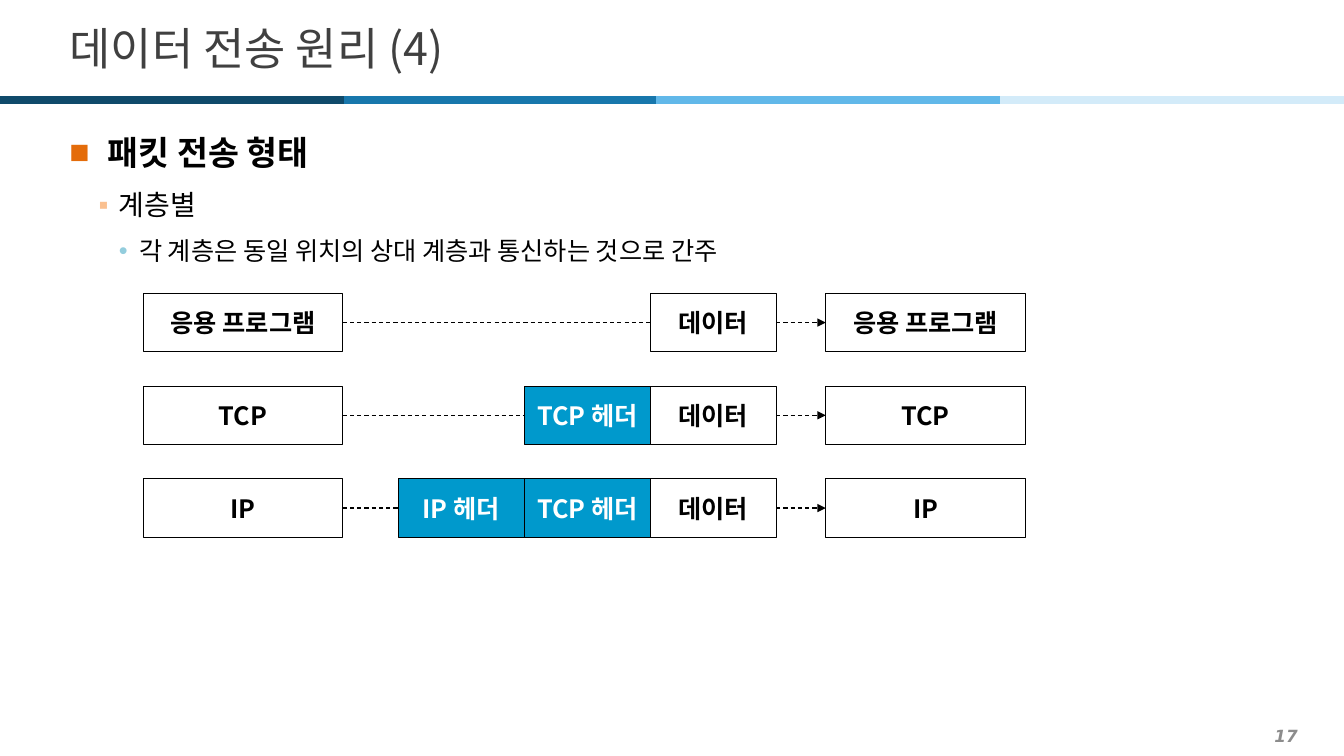
from lxml.etree import SubElement
from pptx import Presentation
from pptx.dml.color import RGBColor
from pptx.enum.dml import MSO_LINE
from pptx.enum.shapes import MSO_CONNECTOR, MSO_SHAPE
from pptx.enum.text import MSO_ANCHOR, MSO_AUTO_SIZE, PP_ALIGN
from pptx.oxml.ns import qn
from pptx.util import Inches, Pt

BLACK = RGBColor(0x00, 0x00, 0x00)
WHITE = RGBColor(0xFF, 0xFF, 0xFF)
DARK = RGBColor(0x40, 0x40, 0x40)
GRAY = RGBColor(0x8C, 0x8C, 0x8C)
CYAN = RGBColor(0x00, 0x99, 0xCC)
NAVY = RGBColor(0x0F, 0x4A, 0x6B)
BLUE = RGBColor(0x18, 0x77, 0xAC)
SKY = RGBColor(0x61, 0xB8, 0xE9)
PALE = RGBColor(0xD3, 0xEB, 0xF9)
ORANGE = RGBColor(0xE4, 0x6C, 0x0A)
PEACH = RGBColor(0xFA, 0xC0, 0x90)
AQUA = RGBColor(0x93, 0xCD, 0xDD)
KOREAN = "Noto Sans CJK KR"


def write(para, text, size=18, color=BLACK, bold=False, italic=False,
          face=KOREAN, align=PP_ALIGN.LEFT):
    """Add one formatted run to a paragraph."""
    para.alignment = align
    run = para.add_run()
    run.text = text
    font = run.font
    font.size, font.bold, font.italic = Pt(size), bold, italic
    font.color.rgb = color
    font.name = face
    east = SubElement(run._r.get_or_add_rPr(), qn("a:ea"))
    east.set("typeface", KOREAN)


def place(shape, left, top, width, height):
    """Move and size a shape, in inches."""
    shape.left, shape.top = Inches(left), Inches(top)
    shape.width, shape.height = Inches(width), Inches(height)


def rule(slide, start, end, y, color, width):
    """Draw a level line and return it."""
    line = slide.shapes.add_connector(
        MSO_CONNECTOR.STRAIGHT, Inches(start), Inches(y), Inches(end), Inches(y))
    line.line.color.rgb = color
    line.line.width = Pt(width)
    SubElement(line._element.spPr, qn("a:effectLst"))
    return line


def arrow(slide, start, end, y):
    """Draw a dashed arrow to the right."""
    line = rule(slide, start, end, y, BLACK, 0.75).line
    line.dash_style = MSO_LINE.DASH
    SubElement(line._get_or_add_ln(), qn("a:tailEnd")).set("type", "triangle")


def box(slide, text, left, top, width, height, fill=WHITE, color=BLACK):
    """Draw a bordered box with a bold centred label."""
    shape = slide.shapes.add_shape(
        MSO_SHAPE.RECTANGLE, Inches(left), Inches(top), Inches(width), Inches(height))
    shape.shadow.inherit = False
    shape.fill.solid()
    shape.fill.fore_color.rgb = fill
    shape.line.color.rgb = BLACK
    shape.line.width = Pt(0.75)
    frame = shape.text_frame
    frame.word_wrap = False
    frame.vertical_anchor = MSO_ANCHOR.MIDDLE
    write(frame.paragraphs[0], text, color=color, bold=True, align=PP_ALIGN.CENTER)


def header(slide, left, top, width, height):
    """Fill the title and draw the striped bar below it."""
    title = slide.shapes.title
    place(title, left, top, width, height)
    frame = title.text_frame
    frame.auto_size = MSO_AUTO_SIZE.NONE
    frame.vertical_anchor = MSO_ANCHOR.MIDDLE
    write(frame.paragraphs[0], "데이터 전송 원리 (4)", size=32, color=DARK)
    stops = (0, 3.41, 6.51, 9.92, 13.33)
    for start, end, color in zip(stops, stops[1:], (NAVY, BLUE, SKY, PALE)):
        rule(slide, start, end, top + 0.86, color, 6)


def bullet(para, mark, color, indent, hang):
    """Give a paragraph a coloured bullet and a hanging indent."""
    props = para._p.get_or_add_pPr()
    props.set("marL", str(Inches(indent)))
    props.set("indent", str(-Inches(hang)))
    tint = SubElement(props, qn("a:buClr"))
    SubElement(tint, qn("a:srgbClr")).set("val", str(color))
    SubElement(props, qn("a:buFont")).set("typeface", "Arial")
    SubElement(props, qn("a:buChar")).set("char", mark)


def outline(slide, left, top, width, height):
    """Write the three bullet levels."""
    area = slide.shapes.add_textbox(
        Inches(left), Inches(top), Inches(width), Inches(height))
    frame = area.text_frame
    frame.word_wrap = True
    items = (
        ("패킷 전송 형태", "■", ORANGE, 0.38, 0.38, 1.2, 0, 2,
         dict(size=24, bold=True, face="Arial")),
        ("계층별", "▪", PEACH, 0.49, 0.2, 1.3, 2, 2, dict(size=20)),
        ("각 계층은 동일 위치의 상대 계층과 통신하는 것으로 간주", "•", AQUA,
         0.69, 0.2, 1.2, 3.6, 6, dict(size=18)),
    )
    for level, item in enumerate(items):
        text, mark, color, indent, hang, space, before, after, style = item
        para = frame.add_paragraph() if level else frame.paragraphs[0]
        bullet(para, mark, color, indent, hang)
        para.level = level
        para.line_spacing = space
        para.space_before, para.space_after = Pt(before), Pt(after)
        write(para, text, **style)


def layers(slide, left, top, width, height):
    """Draw each layer as sender, packet and receiver."""
    side, cell, tall = 1.98, 1.25, 0.58
    rows = (
        ("응용 프로그램", ()),
        ("TCP", ("TCP 헤더",)),
        ("IP", ("IP 헤더", "TCP 헤더")),
    )
    step = (height - tall) / (len(rows) - 1)
    far = left + width - side
    data = left + 5.03
    for index, (name, heads) in enumerate(rows):
        y = top + index * step
        arrow(slide, left + side, far, y + tall / 2)
        for x in (left, far):
            box(slide, name, x, y, side, tall)
        for slot, head in enumerate(heads):
            x = data - (len(heads) - slot) * cell
            box(slide, head, x, y, cell, tall, fill=CYAN, color=WHITE)
        box(slide, "데이터", data, y, cell, tall)


def footer(slide, left, top, width, height):
    """Write the page number at the right."""
    area = slide.shapes.add_textbox(
        Inches(left), Inches(top), Inches(width), Inches(height))
    frame = area.text_frame
    frame.word_wrap = True
    frame.vertical_anchor = MSO_ANCHOR.MIDDLE
    write(frame.paragraphs[0], "17", size=12, color=GRAY, bold=True, italic=True,
          face="DejaVu Sans", align=PP_ALIGN.RIGHT)


def main():
    """Build the slide and save it."""
    deck = Presentation()
    deck.slide_width, deck.slide_height = Inches(13.33), Inches(7.5)
    slide = deck.slides.add_slide(deck.slide_layouts[5])
    header(slide, 0.59, 0.13, 12.21, 0.68)
    outline(slide, 0.59, 1.18, 12.21, 1.6)
    layers(slide, 1.42, 2.91, 8.75, 2.42)
    footer(slide, 0.2, 7.14, 12.77, 0.31)
    deck.save("out.pptx")


if __name__ == "__main__":
    main()
